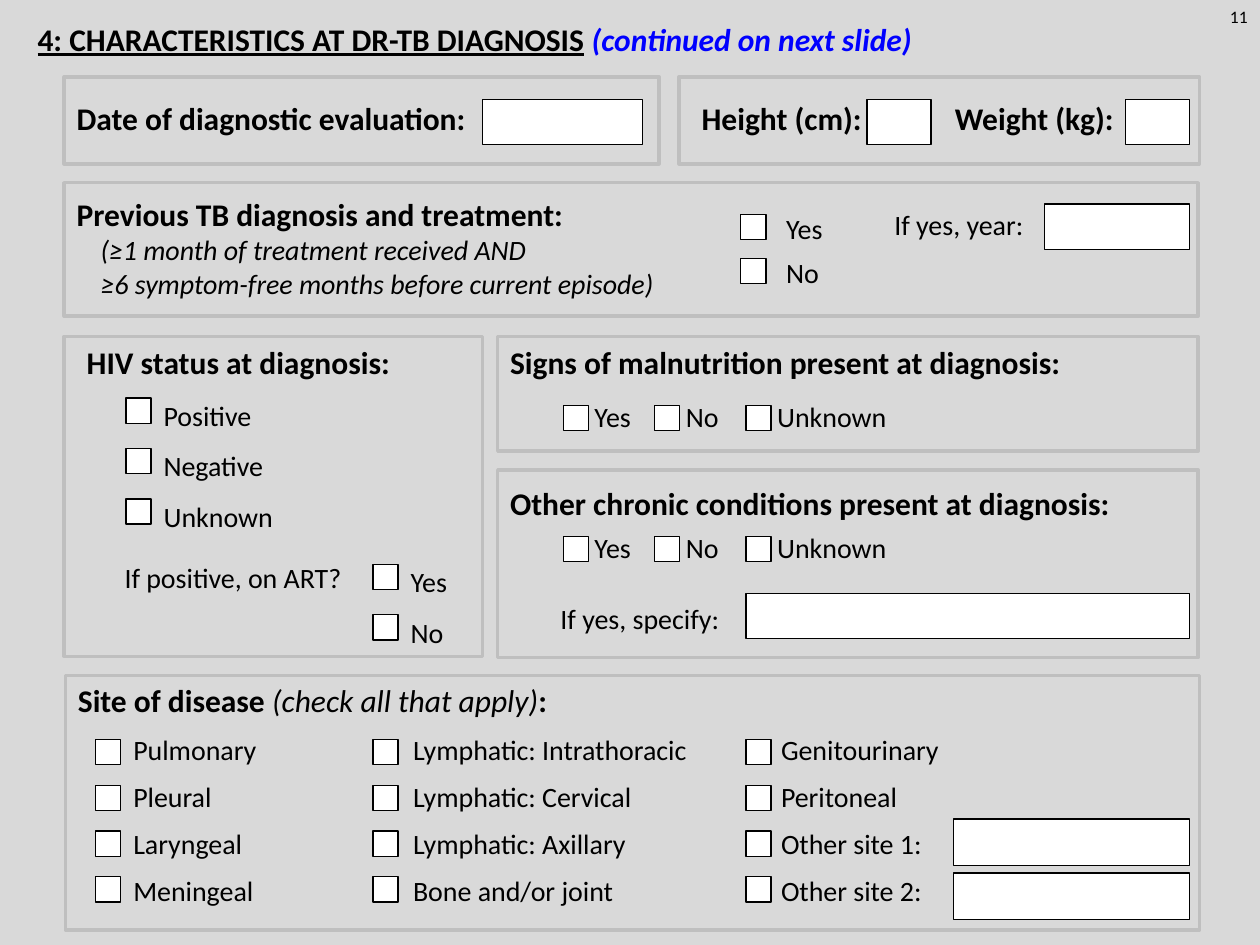
from pptx import Presentation
from pptx.dml.color import RGBColor
from pptx.enum.shapes import MSO_SHAPE
from pptx.enum.text import MSO_AUTO_SIZE, PP_ALIGN
from pptx.util import Inches, Pt

BLACK = RGBColor(0x00, 0x00, 0x00)
WHITE = RGBColor(0xFF, 0xFF, 0xFF)
BLUE = RGBColor(0x00, 0x00, 0xFF)
PAPER = RGBColor(0xD9, 0xD9, 0xD9)
FRAME = RGBColor(0xBF, 0xBF, 0xBF)

# All lengths count cells of a grid of 100 columns by 75 rows.
COLUMNS = 100
prs = Presentation()
prs.slide_width, prs.slide_height = Inches(10), Inches(7.5)
CELL = prs.slide_width // COLUMNS
CHECK = 2
HEADING, BODY = 18, 16


def place(box, x, y, w, h):
    return [round(n * CELL) for n in (box[0] + x, box[1] + y, w, h)]


def add_rect(s, box, x, y, w, h, fill=WHITE, line=BLACK, weight=0.75):
    sp = s.shapes.add_shape(MSO_SHAPE.RECTANGLE, *place(box, x, y, w, h))
    sp.shadow.inherit = False
    if fill is None:
        sp.fill.background()
    else:
        sp.fill.solid()
        sp.fill.fore_color.rgb = fill
    sp.line.color.rgb = line
    sp.line.width = Pt(weight)


def add_text(s, box, x, y, w, h, *lines, size=BODY, align=PP_ALIGN.LEFT,
             spacing=None, after=None, **style):
    """Each line is a string or a list of (text, style) runs."""
    tf = s.shapes.add_textbox(*place(box, x, y, w, h)).text_frame
    tf.word_wrap = True
    tf.auto_size = MSO_AUTO_SIZE.SHAPE_TO_FIT_TEXT
    for i, line in enumerate(lines):
        p = tf.add_paragraph() if i else tf.paragraphs[0]
        p.alignment = align
        if spacing:
            p.line_spacing = spacing
        if after:
            p.space_after = Pt(after)
        for text, own in [(line, {})] if isinstance(line, str) else line:
            r = p.add_run()
            r.text = text
            look = {**style, **own}
            r.font.name = "Calibri"
            r.font.size = Pt(size)
            r.font.color.rgb = look.get("color", BLACK)
            r.font.bold = look.get("bold", False)
            r.font.italic = look.get("italic", False)
            r.font.underline = look.get("underline", False)


def add_heading(s, box, x, y, w, *lines):
    add_text(s, box, x, y, w, 4, *lines, size=HEADING, bold=True)


def add_frame(s, box):
    add_rect(s, box, 0, 0, box[2], box[3], fill=None, line=FRAME, weight=2)


def check_list(s, box, x, y, pitch, labels, indent, lift, w, h, **fmt):
    """Column of check boxes, with one text box for all their labels."""
    for i in range(len(labels)):
        add_rect(s, box, x, y + i * pitch, CHECK, CHECK)
    add_text(s, box, x + indent, y - lift, w, h, *labels, **fmt)


def check_row(s, box, x, y):
    for i, (label, w) in enumerate([("Yes", 6.6), ("No", 6.6), ("Unknown", 11.6)]):
        left = x + i * 7.25
        add_rect(s, box, left, y, CHECK, CHECK)
        add_text(s, box, left + 1.5, y - 1, w, 3.7, label)


def title(s, box):
    add_text(s, box, 0, 0, box[2], box[3],
             [("4: CHARACTERISTICS AT DR-TB DIAGNOSIS", {"bold": True, "underline": True}),
              (" ", {}),
              ("(continued on next slide)", {"bold": True, "italic": True, "color": BLUE})],
             size=HEADING)


def slide_number(s, box):
    add_text(s, box, 0, 0, box[2], box[3], "11", size=10, align=PP_ALIGN.RIGHT)


def evaluation_date(s, box):
    add_frame(s, box)
    add_heading(s, box, 0, 1.3, 33.3, "Date of diagnostic evaluation:")
    add_rect(s, box, 33.2, 1.8, 12.7, 3.6)


def body_size(s, box):
    add_frame(s, box)
    for label, x, w, field_x in [("Height (cm):", 0.8, 17.5, 14.9),
                                 ("Weight (kg):", 20.9, 18.4, 35.4)]:
        add_heading(s, box, x, 1.3, w, label)
        add_rect(s, box, field_x, 1.8, 5.1, 3.6)


def previous_tb(s, box):
    add_frame(s, box)
    add_heading(s, box, 0, 0.5, 43.2, "Previous TB diagnosis and treatment:")
    add_text(s, box, 1.9, 3.5, 48.5, 6.4, "(≥1 month of treatment received AND",
             "≥6 symptom-free months before current episode)", italic=True)
    check_list(s, box, 53.7, 2.5, 3.5, ["Yes", "No"], 2.6, 0.7, 5.5, 7.2, after=6)
    add_text(s, box, 64.9, 1.5, 14.3, 3.7, "If yes, year:")
    add_rect(s, box, 77.8, 1.7, 11.5, 3.6)


def hiv_status(s, box):
    add_frame(s, box)
    add_heading(s, box, 0.8, 0, 31, "HIV status at diagnosis:")
    check_list(s, box, 4.9, 4.9, 4, ["Positive", "Negative", "Unknown"],
               2, 1.8, 10.8, 13.1, spacing=1.5)
    add_text(s, box, 3.8, 16, 20.6, 5, "If positive, on ART?", spacing=1.5)
    check_list(s, box, 24.5, 18.1, 4, ["Yes", "No"], 2, 1.8, 10.8, 8.7, spacing=1.5)


def malnutrition(s, box):
    add_frame(s, box)
    add_heading(s, box, 0, 0, 49.2, "Signs of malnutrition present at diagnosis:")
    check_row(s, box, 5.2, 5.5)


def chronic_conditions(s, box):
    add_frame(s, box)
    add_heading(s, box, 0, 0.6, 53.3, "Other chronic conditions present at diagnosis:")
    check_row(s, box, 5.2, 5.3)
    add_text(s, box, 4, 8.6, 20.6, 5, "If yes, specify:", spacing=1.5)
    add_rect(s, box, 19.7, 9.8, 35.2, 3.6)


def disease_site(s, box):
    add_frame(s, box)
    add_heading(s, box, 0, 0, 48.3,
                [("Site of disease ", {}),
                 ("(check all that apply)", {"bold": False, "italic": True}),
                 (":", {})])
    columns = [
        (2.4, 2, 19.7, ["Pulmonary", "Pleural", "Laryngeal", "Meningeal"]),
        (24.4, 2.2, 30.1, ["Lymphatic: Intrathoracic", "Lymphatic: Cervical",
                           "Lymphatic: Axillary", "Bone and/or joint"]),
        (54, 1.8, 30.1, ["Genitourinary", "Peritoneal", "Other site 1:", "Other site 2:"]),
    ]
    for x, indent, w, labels in columns:
        check_list(s, box, x, 5.1, 3.63, labels, indent, 2.1, w, 15.9, spacing=1.4)
    for i in range(2):
        add_rect(s, box, 70.5, 11.4 + i * 4.3, 18.7, 3.7)


def main():
    s = prs.slides.add_slide(prs.slide_layouts[6])
    s.background.fill.solid()
    s.background.fill.fore_color.rgb = PAPER
    regions = [
        (slide_number, (95, 0, 5, 2.7)),
        (title, (2, 1.1, 75.4, 4)),
        (evaluation_date, (5.1, 6.1, 47.2, 6.9)),
        (body_size, (53.9, 6.1, 41.3, 6.9)),
        (previous_tb, (5.1, 14.5, 90, 10.6)),
        (hiv_status, (5.1, 26.7, 33.2, 25.4)),
        (malnutrition, (39.5, 26.7, 55.6, 9.1)),
        (chronic_conditions, (39.5, 37.3, 55.6, 14.9)),
        (disease_site, (5.2, 53.6, 90, 20.2)),
    ]
    for draw, box in regions:
        draw(s, box)
    prs.save("out.pptx")


if __name__ == "__main__":
    main()
